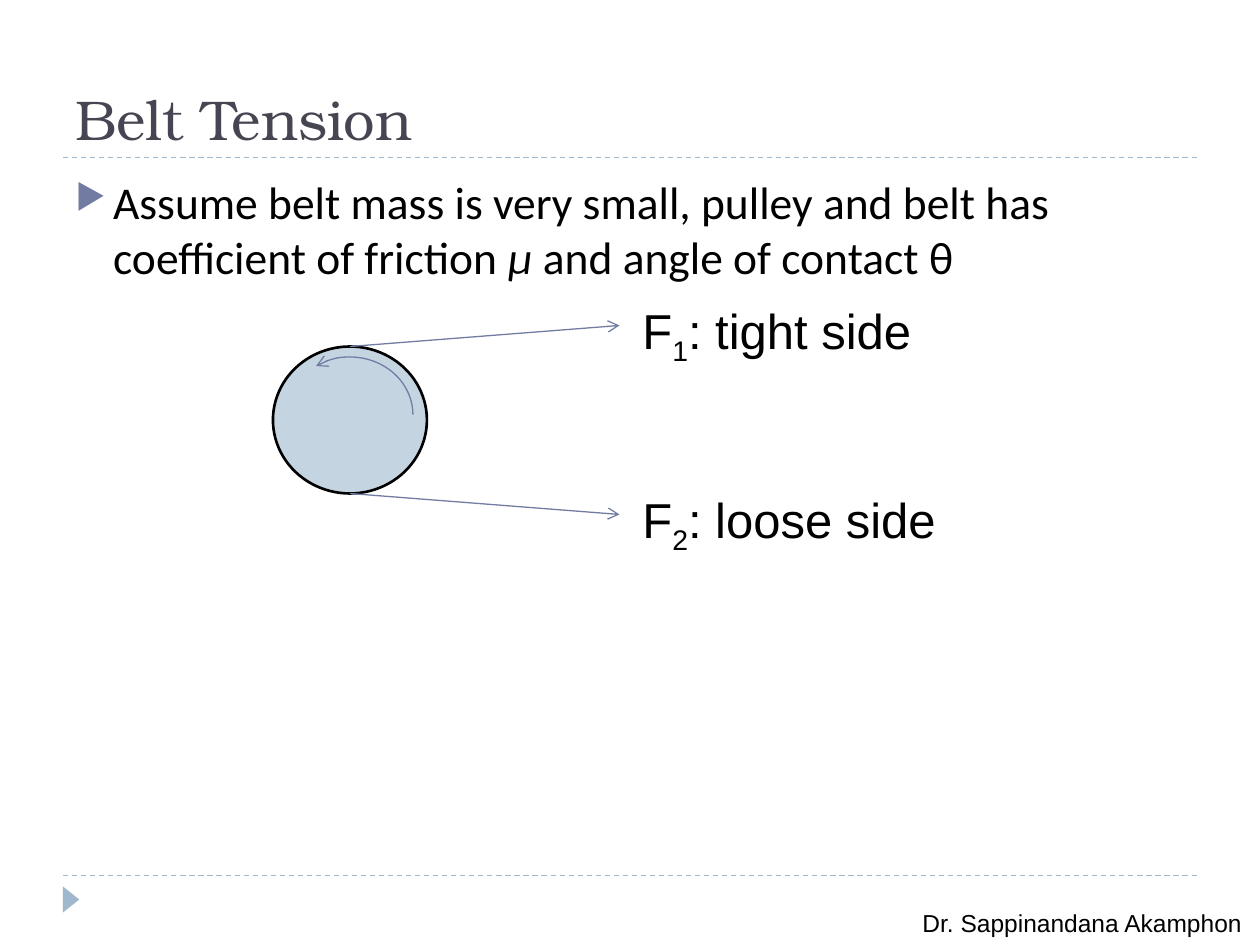
import pptx
import pptx.util
import pptx.dml.color
import pptx.enum.dml
import pptx.enum.shapes
import pptx.enum.text
from lxml import etree
from pptx.oxml.ns import qn

Pt = pptx.util.Pt
RGBColor = pptx.dml.color.RGBColor
SHAPE = pptx.enum.shapes.MSO_SHAPE
ANCHOR = pptx.enum.text.MSO_ANCHOR

BLACK = RGBColor(0x00, 0x00, 0x00)
TITLE_GREY = RGBColor(0x46, 0x46, 0x53)
RULE_BLUE = RGBColor(0x9F, 0xB8, 0xCD)
ACCENT = RGBColor(0x72, 0x7C, 0xA3)
PULLEY_FILL = RGBColor(0xC5, 0xD4, 0xE1)


class SlideBuilder:
    """Holds the style and the current slide."""

    body_font = "Calibri"
    title_font = "TeX Gyre Bonum"
    label_font = "Arial"

    def __init__(self, slide):
        self.slide = slide

    def arrowhead(self, shape, end):
        line = shape.line._get_or_add_ln()
        etree.SubElement(line, qn(f"a:{end}"), type="arrow")

    def line(self, start, finish, color, dashed=False, arrow=False):
        connector = self.slide.shapes.add_connector(
            pptx.enum.shapes.MSO_CONNECTOR.STRAIGHT, *map(Pt, start + finish))
        connector.line.color.rgb = color
        connector.line.width = Pt(0.75)
        if dashed:
            connector.line.dash_style = pptx.enum.dml.MSO_LINE.DASH
        if arrow:
            self.arrowhead(connector, "tailEnd")
        etree.SubElement(connector._element.spPr, qn("a:effectLst"))

    def shape(self, kind, box, fill=None, line=None, width=0.75):
        shape = self.slide.shapes.add_shape(kind, *map(Pt, box))
        shape.shadow.inherit = False
        if fill is None:
            shape.fill.background()
        else:
            shape.fill.solid()
            shape.fill.fore_color.rgb = fill
        if line is None:
            shape.line.fill.background()
        else:
            shape.line.color.rgb = line
            shape.line.width = Pt(width)
        return shape

    def text(self, box, runs, font, size, color=BLACK, anchor=ANCHOR.TOP, bullet=False):
        frame = self.slide.shapes.add_textbox(*map(Pt, box)).text_frame
        frame.word_wrap = True
        frame.vertical_anchor = anchor
        paragraph = frame.paragraphs[0]
        if bullet:
            self.bullet(paragraph)
        paragraph.font.name = font
        paragraph.font.size = Pt(size)
        paragraph.font.color.rgb = color
        for words in runs:
            paragraph.add_run().text = words
        return paragraph

    def bullet(self, paragraph):
        properties = paragraph._p.get_or_add_pPr()
        properties.set("marL", str(Pt(21.6)))
        properties.set("indent", str(-Pt(21.6)))
        color = etree.SubElement(properties, qn("a:buClr"))
        etree.SubElement(color, qn("a:srgbClr"), val=str(ACCENT))
        etree.SubElement(properties, qn("a:buSzPct"), val="76000")
        etree.SubElement(properties, qn("a:buChar"), char="▶")

    def force_label(self, box, number, description):
        paragraph = self.text(box, ["F", number, f": {description}"], self.label_font, 28)
        paragraph.runs[1].font._element.set("baseline", "-25000")


def main():
    presentation = pptx.Presentation()
    presentation.slide_width = Pt(720)
    presentation.slide_height = Pt(540)
    builder = SlideBuilder(presentation.slides.add_slide(presentation.slide_layouts[6]))

    # Rules, corner marker and author
    for y in (500.4, 90):
        builder.line((36, y), (684, y), RULE_BLUE, dashed=True)
    marker = builder.shape(SHAPE.ISOSCELES_TRIANGLE, (33.1, 509.3, 15, 9.4), fill=RULE_BLUE)
    marker.rotation = 90
    builder.text((520, 515.5, 198, 24.5), ["Dr. Sappinandana Akamphon"], builder.label_font, 14)

    # Title and statement
    builder.text((36, 12, 648, 78), ["Belt Tension"], builder.title_font, 32,
                 TITLE_GREY, ANCHOR.BOTTOM)
    statement = builder.text(
        (36, 96, 648, 389),
        ["Assume belt mass is very small, pulley and belt has coefficient of friction ",
         "μ ", "and angle of contact θ"],
        builder.body_font, 26, bullet=True)
    statement.runs[1].font.italic = True

    # Pulley with the belt forces at its top and bottom
    builder.shape(SHAPE.OVAL, (156, 198, 88, 84), PULLEY_FILL, BLACK, 1.5)
    forces = [(198, 186, 168, "1", "tight side"), (282, 294, 276, "2", "loose side")]
    for belt_y, tip_y, label_y, number, description in forces:
        builder.line((200, belt_y), (354, tip_y), ACCENT, arrow=True)
        builder.force_label((360, label_y, 198, 41), number, description)

    # Direction of rotation
    rotation = builder.shape(SHAPE.ARC, (164, 204, 72, 66), line=ACCENT)
    rotation.adjustments[0] = 141.06
    rotation.adjustments[1] = 0
    builder.arrowhead(rotation, "headEnd")

    presentation.save("out.pptx")


if __name__ == "__main__":
    main()
